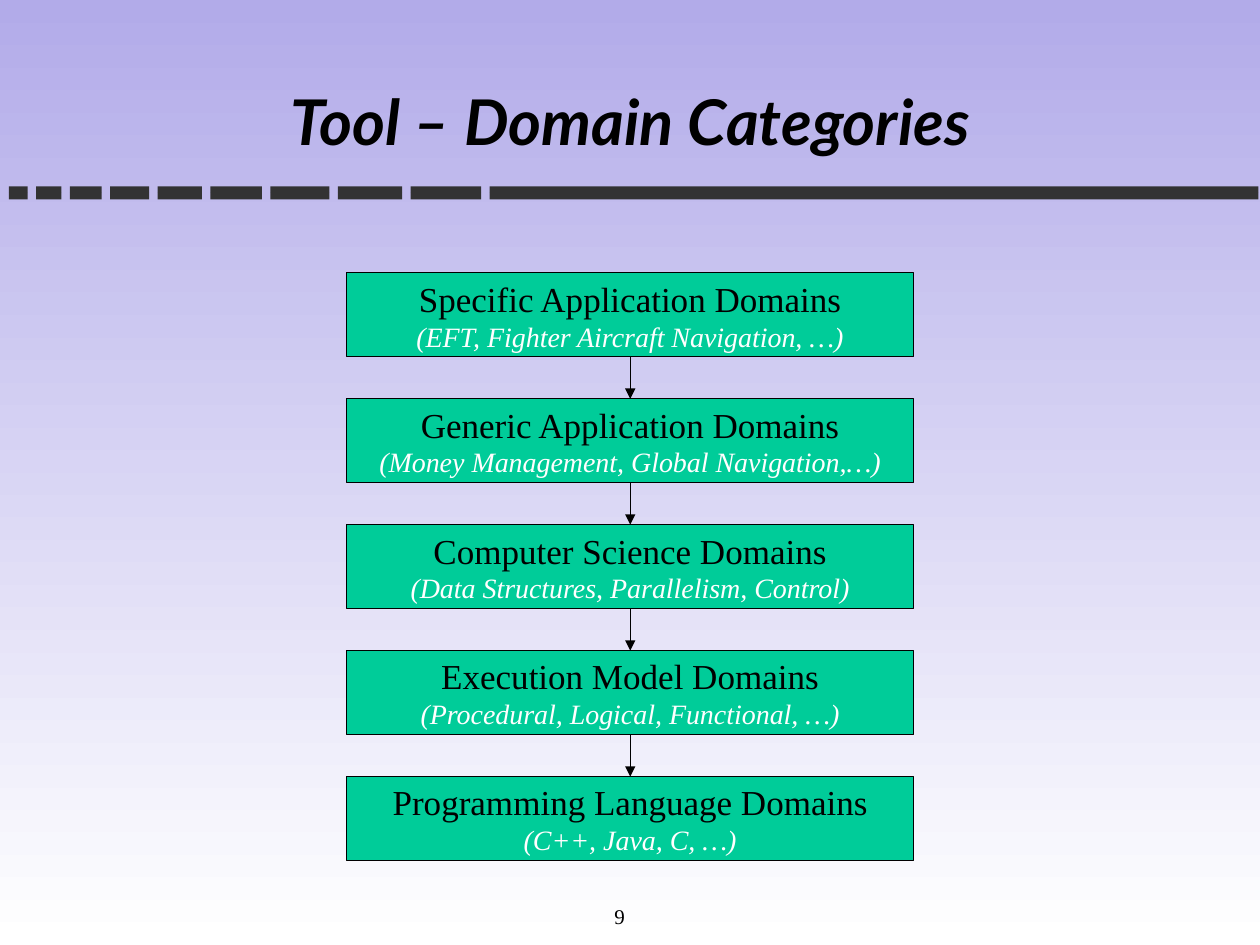
from lxml import etree
from pptx import Presentation
from pptx.dml.color import RGBColor
from pptx.enum.shapes import MSO_CONNECTOR, MSO_SHAPE
from pptx.enum.text import MSO_ANCHOR, PP_ALIGN
from pptx.oxml.ns import qn
from pptx.util import Cm, Pt

LILAC = RGBColor(0xB2, 0xAB, 0xE9)
WHITE = RGBColor(0xFF, 0xFF, 0xFF)
BLACK = RGBColor(0x00, 0x00, 0x00)
GREY = RGBColor(0x33, 0x33, 0x33)
GREEN = RGBColor(0x00, 0xCC, 0x99)

RECT = MSO_SHAPE.RECTANGLE
LINE = MSO_CONNECTOR.STRAIGHT
CENTER = PP_ALIGN.CENTER
MIDDLE = MSO_ANCHOR.MIDDLE
BOTTOM = MSO_ANCHOR.BOTTOM

SANS = "Lato"
SERIF = "Times New Roman"

DASHES = [0.38, 0.51, 0.64, 0.79, 0.89, 1.04, 1.19, 1.3, 1.42, 15.5]
LEVELS = [
    ("Specific Application Domains", "(EFT, Fighter Aircraft Navigation, …)"),
    ("Generic Application Domains", "(Money Management, Global Navigation,…)"),
    ("Computer Science Domains", "(Data Structures, Parallelism, Control)"),
    ("Execution Model Domains", "(Procedural, Logical, Functional, …)"),
    ("Programming Language Domains", "(C++, Java, C, …)"),
]


def style(para, face, size, color, bold=False, italic=False):
    para.alignment = CENTER
    for run in para.runs:
        font = run.font
        font.name = face
        font.size = Pt(size)
        font.color.rgb = color
        font.bold = bold
        font.italic = italic


def add_back(slide):
    fill = slide.background.fill
    fill.gradient()
    fill.gradient_angle = 270
    for stop, color in zip(fill.gradient_stops, (LILAC, WHITE)):
        stop.color.rgb = color


def add_rect(slide, left, top, width, height, color):
    rect = slide.shapes.add_shape(RECT, Cm(left), Cm(top), Cm(width), Cm(height))
    rect.shadow.inherit = False
    rect.fill.solid()
    rect.fill.fore_color.rgb = color
    rect.line.fill.background()
    return rect


def add_rule(slide, left, top, height, gap=0.17):
    thick = height / 2
    for width in DASHES:
        for row in range(2):
            add_rect(slide, left, top + row * thick, width, thick, GREY)
        left += width + gap


def add_label(slide, left, top, width, height, text, anchor):
    box = slide.shapes.add_textbox(Cm(left), Cm(top), Cm(width), Cm(height))
    frame = box.text_frame
    frame.word_wrap = True
    frame.vertical_anchor = anchor
    frame.text = text
    return frame.paragraphs[0]


def add_level(slide, left, top, width, height, name, sample):
    rect = add_rect(slide, left, top, width, height, GREEN)
    rect.line.color.rgb = BLACK
    rect.line.width = Pt(0.75)
    frame = rect.text_frame
    frame.word_wrap = False
    frame.vertical_anchor = MIDDLE
    frame.text = name
    style(frame.paragraphs[0], SERIF, 20, BLACK)
    para = frame.add_paragraph()
    para.text = sample
    style(para, SERIF, 16, WHITE, italic=True)
    return rect


def add_arrow(slide, upper, lower):
    arrow = slide.shapes.add_connector(LINE, 0, 0, 0, 0)
    arrow.begin_connect(upper, 2)
    arrow.end_connect(lower, 0)
    arrow.line.color.rgb = BLACK
    arrow.line.width = Pt(0.75)
    etree.SubElement(arrow.line._get_or_add_ln(), qn("a:tailEnd"), type="triangle")
    etree.SubElement(arrow._element.spPr, qn("a:effectLst"))


def add_stack(slide, left, top, width, height):
    gap_share = 0.5
    count = len(LEVELS)
    tall = height / (count + (count - 1) * gap_share)
    step = tall * (1 + gap_share)
    rects = [
        add_level(slide, left, top + row * step, width, tall, name, sample)
        for row, (name, sample) in enumerate(LEVELS)
    ]
    for upper, lower in zip(rects, rects[1:]):
        add_arrow(slide, upper, lower)


def main():
    deck = Presentation()
    deck.slide_width = Cm(25.4)
    deck.slide_height = Cm(19.05)
    slide = deck.slides.add_slide(deck.slide_layouts[6])
    add_back(slide)
    add_rule(slide, 0.18, 3.76, 0.26)
    title = add_label(slide, 2.46, 0.84, 20.5, 3.18, "Tool – Domain Categories", MIDDLE)
    style(title, SANS, 36, BLACK, bold=True, italic=True)
    add_stack(slide, 6.99, 5.5, 11.43, 11.85)
    number = add_label(slide, 11.22, 17.58, 2.54, 1.27, "9", BOTTOM)
    style(number, SERIF, 12, BLACK)
    deck.save("out.pptx")


if __name__ == "__main__":
    main()
